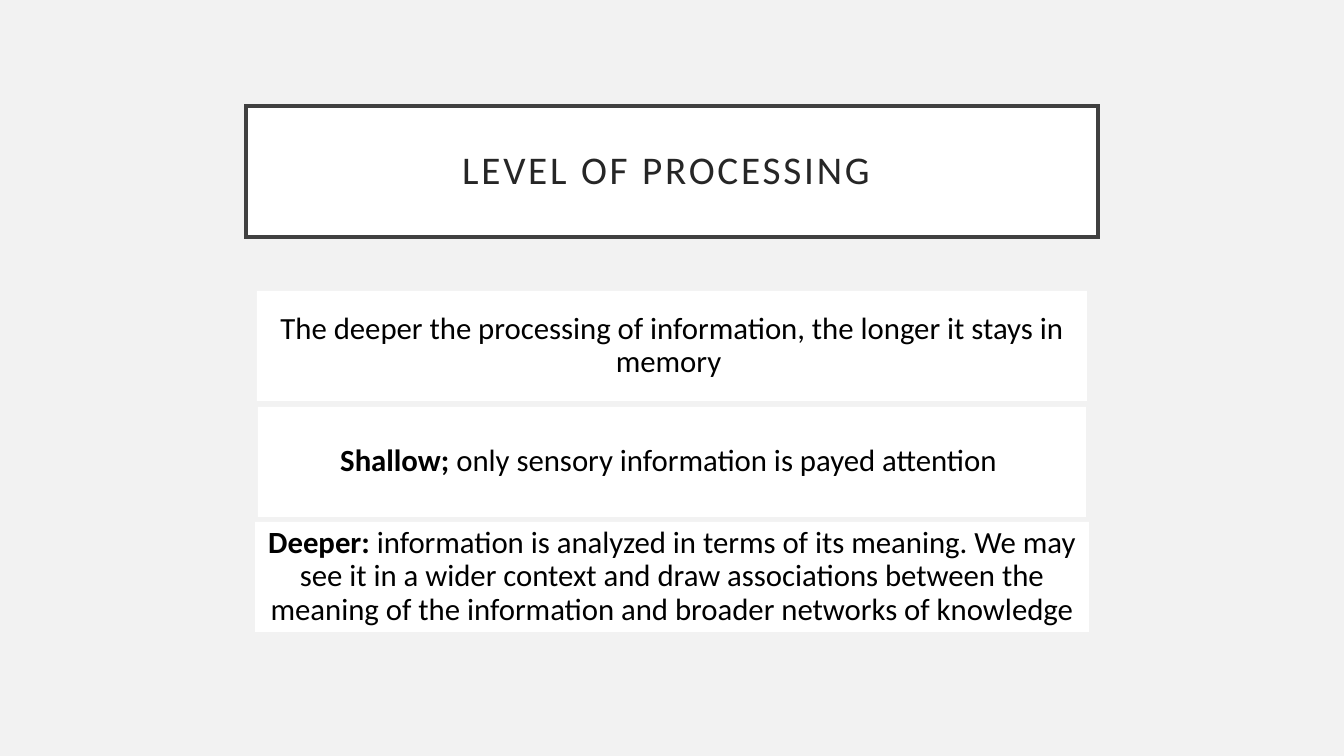
from lxml.etree import SubElement
from pptx import Presentation
from pptx.dml.color import RGBColor
from pptx.enum.shapes import MSO_SHAPE
from pptx.enum.text import MSO_ANCHOR, PP_ALIGN
from pptx.oxml.ns import qn
from pptx.util import Pt

SLIDE_WIDTH, SLIDE_HEIGHT = 1344, 756


def px(length):
    return round(length * 914400 / 100.8)


def color(code):
    return RGBColor.from_string(code)


deck = Presentation()
deck.slide_width = px(SLIDE_WIDTH)
deck.slide_height = px(SLIDE_HEIGHT)
page = deck.slides.add_slide(deck.slide_layouts[6])
page.background.fill.solid()
page.background.fill.fore_color.rgb = color("F2F2F2")

title = (106, 852, 131, 20, 28, "262626", [("LEVEL OF PROCESSING ", False)])
statements = [
    (830, [("The deeper the processing of information, the longer it stays in memory ", False)]),
    (828, [("Shallow; ", True), ("only sensory information is payed attention ", False)]),
    (834, [("Deeper: ", True),
           ("information is analyzed in terms of its meaning. We may see it in a wider "
            "context and draw associations between the meaning of the information and "
            "broader networks of knowledge", False)]),
]
panels = [title]
for index, (width, runs) in enumerate(statements):
    panels.append(((583 + index * 231) // 2, width, 110, 6, 22, "000000", runs))

boxes = []
for top, width, height, inset, size, text_color, runs in panels:
    left = (SLIDE_WIDTH - width) // 2
    box = page.shapes.add_shape(MSO_SHAPE.RECTANGLE, px(left), px(top), px(width), px(height))
    box.shadow.inherit = False
    box.fill.solid()
    box.fill.fore_color.rgb = color("FFFFFF")
    box.line.fill.background()
    frame = box.text_frame
    frame.word_wrap = True
    frame.vertical_anchor = MSO_ANCHOR.MIDDLE
    frame.margin_left = frame.margin_right = px(inset)
    frame.margin_top = frame.margin_bottom = px(inset)
    para = frame.paragraphs[0]
    para.alignment = PP_ALIGN.CENTER
    para.line_spacing = 0.9
    for text, bold in runs:
        span = para.add_run()
        span.text = text
        span.font.name = "Calibri"
        span.font.size = Pt(size)
        span.font.bold = bold
        span.font.color.rgb = color(text_color)
    boxes.append(box)

title_box = boxes[0]
title_box.line.color.rgb = color("404040")
title_box.line.width = Pt(2.5)
outline = title_box.line._get_or_add_ln()
SubElement(outline, qn("a:miter"), lim="800000")
title_span = title_box.text_frame.paragraphs[0].runs[0]
title_span.font._element.set("spc", "200")

deck.save("out.pptx")
